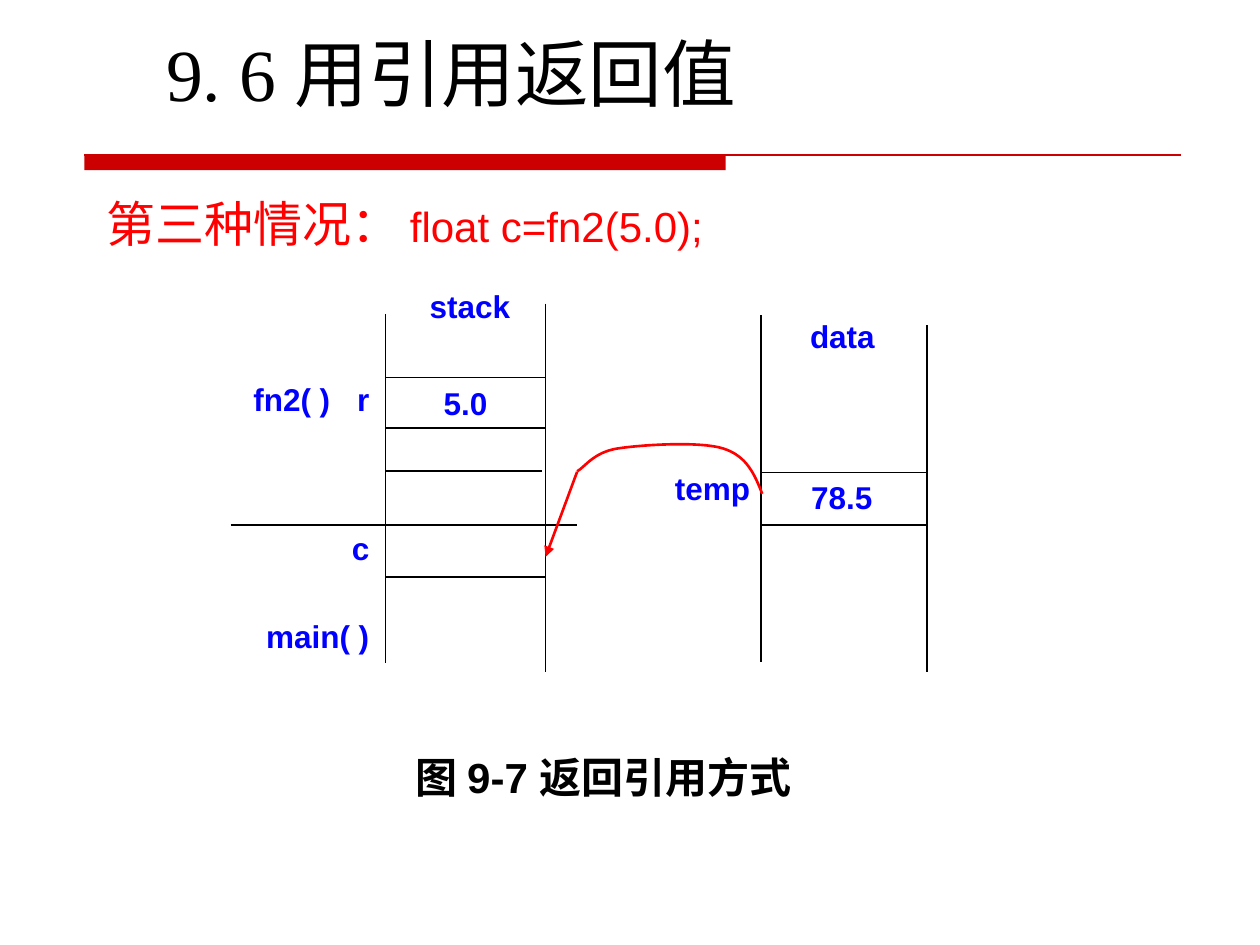
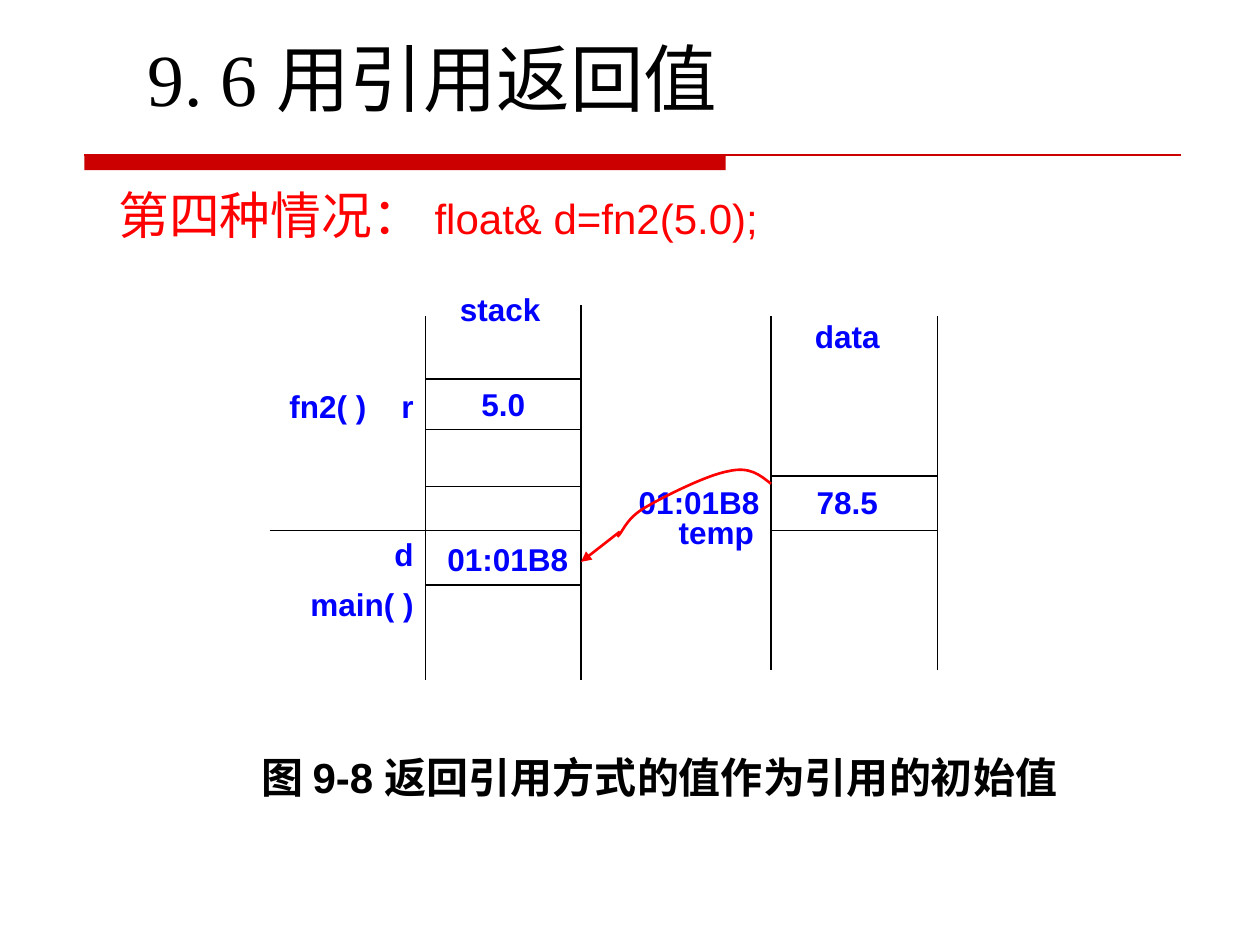
"""Builds two slides that show how a function returns a value by reference."""
from dataclasses import dataclass

from lxml import etree
from pptx import Presentation
from pptx.dml.color import RGBColor
from pptx.enum.shapes import MSO_CONNECTOR, MSO_SHAPE
from pptx.enum.text import MSO_ANCHOR, PP_ALIGN
from pptx.oxml.ns import qn
from pptx.util import Pt

STRAIGHT = MSO_CONNECTOR.STRAIGHT
RECTANGLE = MSO_SHAPE.RECTANGLE
MIDDLE, TOP = MSO_ANCHOR.MIDDLE, MSO_ANCHOR.TOP
LEFT, CENTER, RIGHT = PP_ALIGN.LEFT, PP_ALIGN.CENTER, PP_ALIGN.RIGHT


@dataclass(frozen=True)
class Theme:
    """Colours, fonts and type sizes shared by the slides."""
    ink: RGBColor = RGBColor(0, 0, 0)
    accent: RGBColor = RGBColor(0xFF, 0, 0)
    band: RGBColor = RGBColor(0xCC, 0, 0)
    label: RGBColor = RGBColor(0, 0, 0xFF)
    title_font: str = "Times New Roman"
    body_font: str = "Arial"
    chinese_font: str = "Noto Sans CJK SC"
    title_size: float = 42
    text_size: float = 24
    label_size: float = 18
    row_height: float = 28.8


class Painter:
    """Holds the theme and the current slide and draws on it."""

    def __init__(self, deck, theme):
        """Keep the deck and the theme."""
        self.deck, self.theme, self.page = deck, theme, None

    def start(self, title, left, top):
        """Add a slide with its title and red band."""
        theme = self.theme
        self.page = self.deck.slides.add_slide(self.deck.slide_layouts[5])
        holder = self.page.shapes.title
        holder.left, holder.top = Pt(left), Pt(top)
        holder.width, holder.height = Pt(612), Pt(60.5)
        frame = holder.text_frame
        frame.vertical_anchor = MIDDLE
        frame.margin_left = Pt(53.2)
        para = frame.paragraphs[0]
        para.text = title
        para.alignment, para.line_spacing = LEFT, 0.65
        self.style(para, theme.title_size, theme.ink, name=theme.title_font)
        band = self.rectangle(48.2, 88.6, 366.5, 8.6)
        band.fill.solid()
        band.fill.fore_color.rgb = theme.band
        band.line.fill.background()
        self.line(48.2, 88.6, 674.6, 88.6, theme.band, 0.75)

    def style(self, para, size, color, bold=False, name=None):
        """Set the font of a whole paragraph."""
        font = para.font
        font.name, font.size, font.bold = name or self.theme.body_font, Pt(size), bold
        font.color.rgb = color

    def rectangle(self, left, top, width, height):
        """Add a plain rectangle."""
        box = self.page.shapes.add_shape(RECTANGLE, Pt(left), Pt(top), Pt(width), Pt(height))
        box.shadow.inherit = False
        return box

    def cell(self, text, left, top, width):
        """Add an outlined memory cell with its value."""
        box = self.rectangle(left, top, width, self.theme.row_height)
        box.fill.background()
        box.line.color.rgb, box.line.width = self.theme.ink, Pt(1)
        box.text_frame.vertical_anchor = MIDDLE
        para = box.text_frame.paragraphs[0]
        para.text, para.alignment = text, CENTER
        self.style(para, self.theme.label_size, self.theme.label, True)

    def textbox(self, left, top, width, height):
        """Add an empty text box and return its frame."""
        box = self.page.shapes.add_textbox(Pt(left), Pt(top), Pt(width), Pt(height))
        box.text_frame.word_wrap = True
        box.text_frame.vertical_anchor = TOP
        return box.text_frame

    def heading(self, parts, top, height):
        """Add the red line that names the case, from (text, size, font) parts."""
        para = self.textbox(54, top, 630, height).paragraphs[0]
        para.line_spacing = 1.2
        for text, size, name in parts:
            span = para.add_run()
            span.text = text
            span.font.size, span.font.name = Pt(size), name
            span.font.color.rgb = self.theme.accent

    def caption(self, text, left, width):
        """Add the centred figure caption."""
        para = self.textbox(left, 426.2, width, 36).paragraphs[0]
        para.text, para.alignment = text, CENTER
        self.style(para, self.theme.text_size, self.theme.ink, True)

    def label(self, text, left, top, width):
        """Add a centred blue label that uses the full width of its box."""
        frame = self.textbox(left, top, width, self.theme.row_height)
        frame.margin_left = frame.margin_right = Pt(0)
        frame.word_wrap = False
        para = frame.paragraphs[0]
        para.text, para.alignment = text, CENTER
        self.style(para, self.theme.label_size, self.theme.label, True)

    def column(self, entries, left, top, width, height):
        """Add right-aligned labels, each with the gap above it."""
        frame = self.textbox(left, top, width, height)
        for index, (text, gap) in enumerate(entries):
            para = frame.add_paragraph() if index else frame.paragraphs[0]
            para.text, para.alignment, para.space_before = text, RIGHT, Pt(gap)
            self.style(para, self.theme.label_size, self.theme.label, True)

    def line(self, x1, y1, x2, y2, color=None, width=1, arrow=False):
        """Add a straight line, with an arrowhead at its end if asked."""
        link = self.page.shapes.add_connector(STRAIGHT, Pt(x1), Pt(y1), Pt(x2), Pt(y2))
        link.line.color.rgb, link.line.width = color or self.theme.ink, Pt(width)
        properties = link._element.spPr
        if arrow:
            etree.SubElement(properties.find(qn("a:ln")), qn("a:tailEnd"), type="triangle")
        etree.SubElement(properties, qn("a:effectLst"))

    def curve(self, points):
        """Add a red Bezier curve: a start, then three points per piece."""
        places = [(Pt(x), Pt(y)) for x, y in points]
        builder = self.page.shapes.build_freeform(*places[0])
        builder.add_line_segments(places[1:], close=False)
        shape = builder.convert_to_shape()
        shape.shadow.inherit = False
        shape.fill.background()
        shape.line.color.rgb, shape.line.width = self.theme.accent, Pt(1.5)
        outline = shape._element.find(".//" + qn("a:path"))
        steps = outline.findall(qn("a:lnTo"))
        for start in range(0, len(steps), 3):
            piece = etree.SubElement(outline, qn("a:cubicBezTo"))
            for step in steps[start:start + 3]:
                piece.append(step[0])
                outline.remove(step)

    def memory(self, sides, rows):
        """Draw a memory area from (x, top, bottom) sides and (y, left, right) rows."""
        for x, top, bottom in sides:
            self.line(x, top, x, bottom)
        for y, left, right in rows:
            self.line(left, y, right, y)

    def arrow(self, *ends):
        """Add the red arrow that ends a curve."""
        self.line(*ends, self.theme.accent, 1.5, True)


def value_case(painter):
    """Draw the returned reference copied into a variable."""
    theme = painter.theme
    left, right, data_left, data_right = 220.3, 311.8, 434.9, 529.9
    painter.start("9. 6 用引用返回值", 41.8, 18)
    painter.heading([("第三种情况：", 28, theme.body_font),
                     (" float c=fn2(5.0);", theme.text_size, theme.body_font)], 100.1, 62.6)
    painter.caption("图 9-7 返回引用方式", 180, 329.8)
    painter.memory([(left, 179.3, 378.7), (right, 173.5, 383.8)],
                   [(269.3, left, 309.6), (299.9, 131.8, 329.8), (329.8, left, right)])
    painter.memory([(data_left, 180, 378), (data_right, 185.8, 383.8)],
                   [(270, data_left, data_right), (300.2, data_left, data_right)])
    painter.cell("5.0", left, 215.8, right - left)
    painter.curve([(435.6, 282.2), (431.3, 271.4), (427, 260.6), (413.3, 256.3),
                   (399.6, 252), (366.5, 254.2), (352.8, 256.3),
                   (339.1, 258.5), (334.1, 267.1), (329.8, 269.3)])
    painter.arrow(329.8, 269.6, right, 318.2)
    painter.column([("r", 0), ("c", 63.3), ("main( )", 28.5)], 116.6, 213.8, 101.5, 164.2)
    painter.label("fn2( )", 138, 213.8, 57.6)
    painter.label("temp", 349.9, 264.6, 114.5)
    painter.label("stack", 238.3, 160.6, 60.5)
    painter.label("data", 455.8, 177.5, 51.1)
    painter.label("78.5", 456.5, 269.6, 49)


def reference_case(painter):
    """Draw the returned reference used to initialise another reference."""
    theme = painter.theme
    left, right, data_left, data_right = 243.2, 332, 440.6, 535.7
    painter.start("9. 6 用引用返回值", 31, 20.5)
    painter.heading([(" 第四种情况： ", 29, theme.chinese_font),
                     ("float& d=fn2(5.0);", theme.text_size, theme.body_font)], 94.3, 72)
    painter.caption("图 9-8 返回引用方式的值作为引用的初始值", 110.2, 532.8)
    painter.memory([(left, 180.7, 388.8), (right, 174.2, 388.8)],
                   [(278, left, right), (303.1, 154.1, right), (334.1, left, right)])
    painter.memory([(data_left, 180.7, 383), (data_right, 180.7, 383)],
                   [(272.2, data_left, data_right), (303.1, data_left, data_right)])
    painter.cell("5.0", left, 216.7, right - left)
    painter.column([("r", 0), ("d", 63.4), ("main( )", 7)], 138.4, 217.4, 105.1, 142.6)
    painter.label("fn2( )", 158.6, 217.4, 57.6)
    painter.label("78.5", 451.4, 272.2, 65.5)
    painter.label("stack", 255.6, 162, 60.5)
    painter.label("data", 458.6, 177.8, 51.1)
    painter.label("temp", 380.9, 289.4, 56.9)
    painter.label("01:01B8", 357.8, 272.2, 83.5)
    painter.label("01:01B8", 248.4, 305.3, 83.5)
    painter.curve([(440.6, 276.5), (434.2, 271.4), (428.4, 266.4), (416.2, 269.3),
                   (403.9, 271.4), (378, 284.4), (367.2, 290.9),
                   (357.1, 297.4), (355.7, 304.6), (352.8, 306.7)])
    painter.arrow(354.2, 303.8, right, 321.1)


def main():
    """Build the deck and save it."""
    deck = Presentation()
    deck.slide_width, deck.slide_height = Pt(720), Pt(540)
    painter = Painter(deck, Theme())
    value_case(painter)
    reference_case(painter)
    deck.save("out.pptx")


if __name__ == "__main__":
    main()
